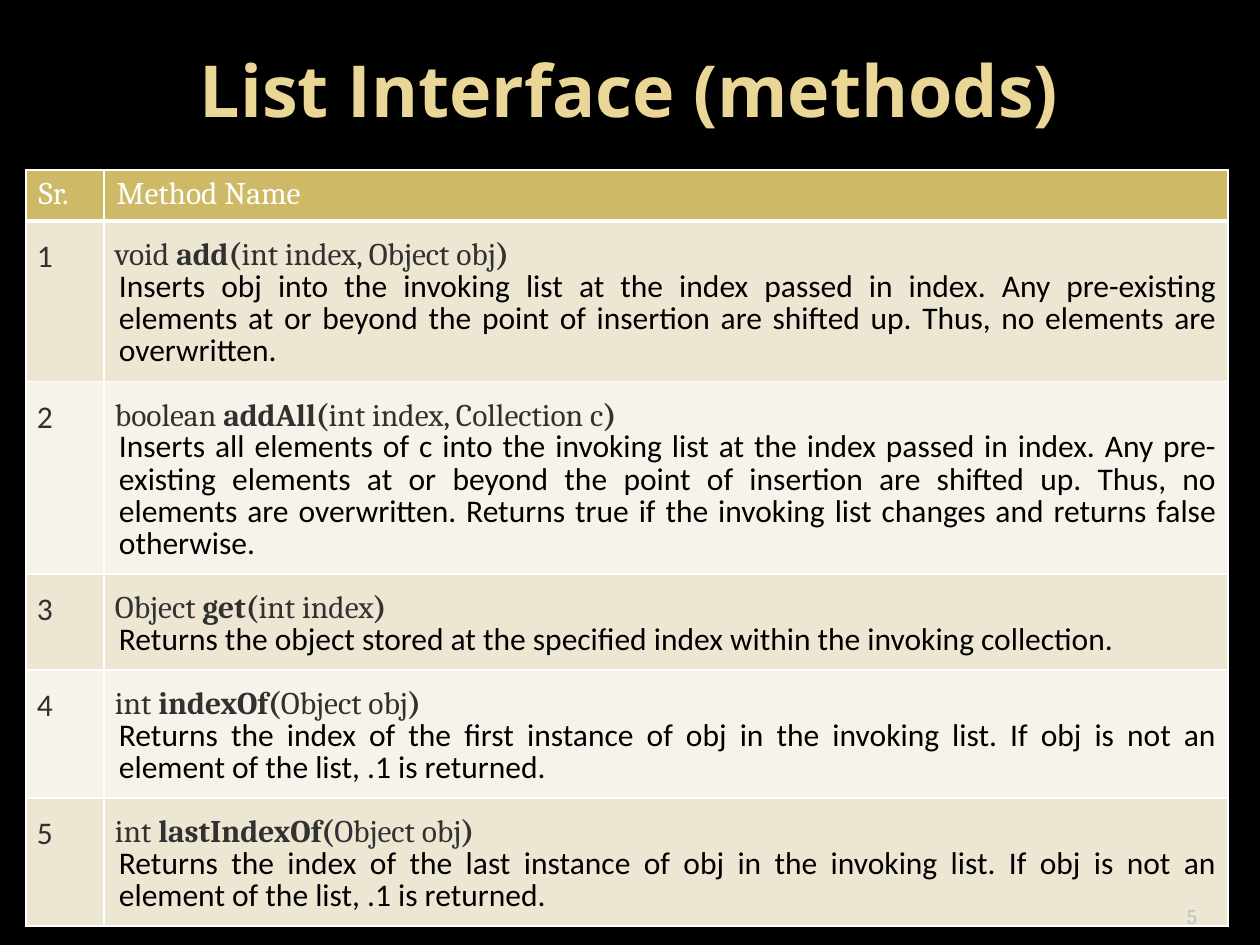
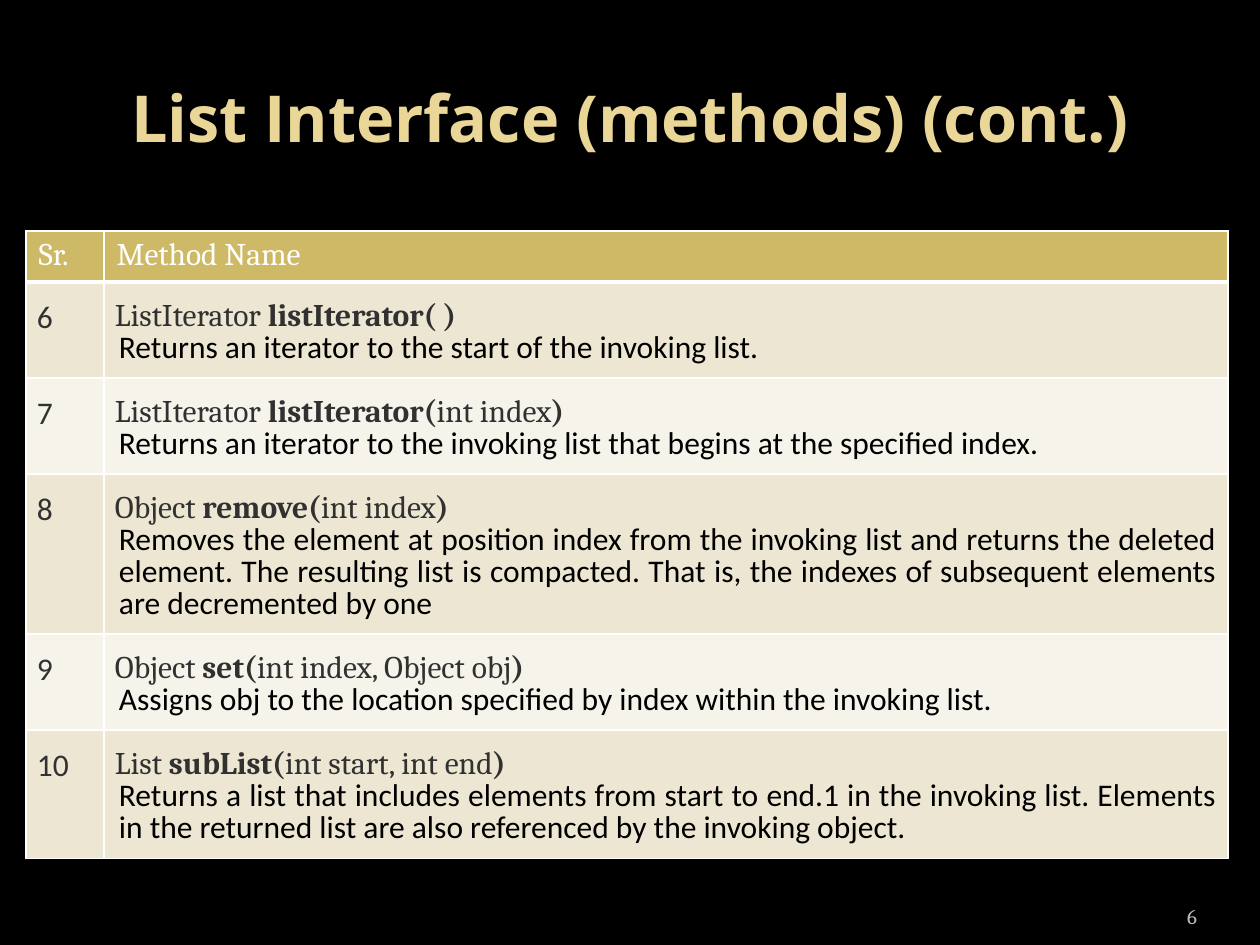
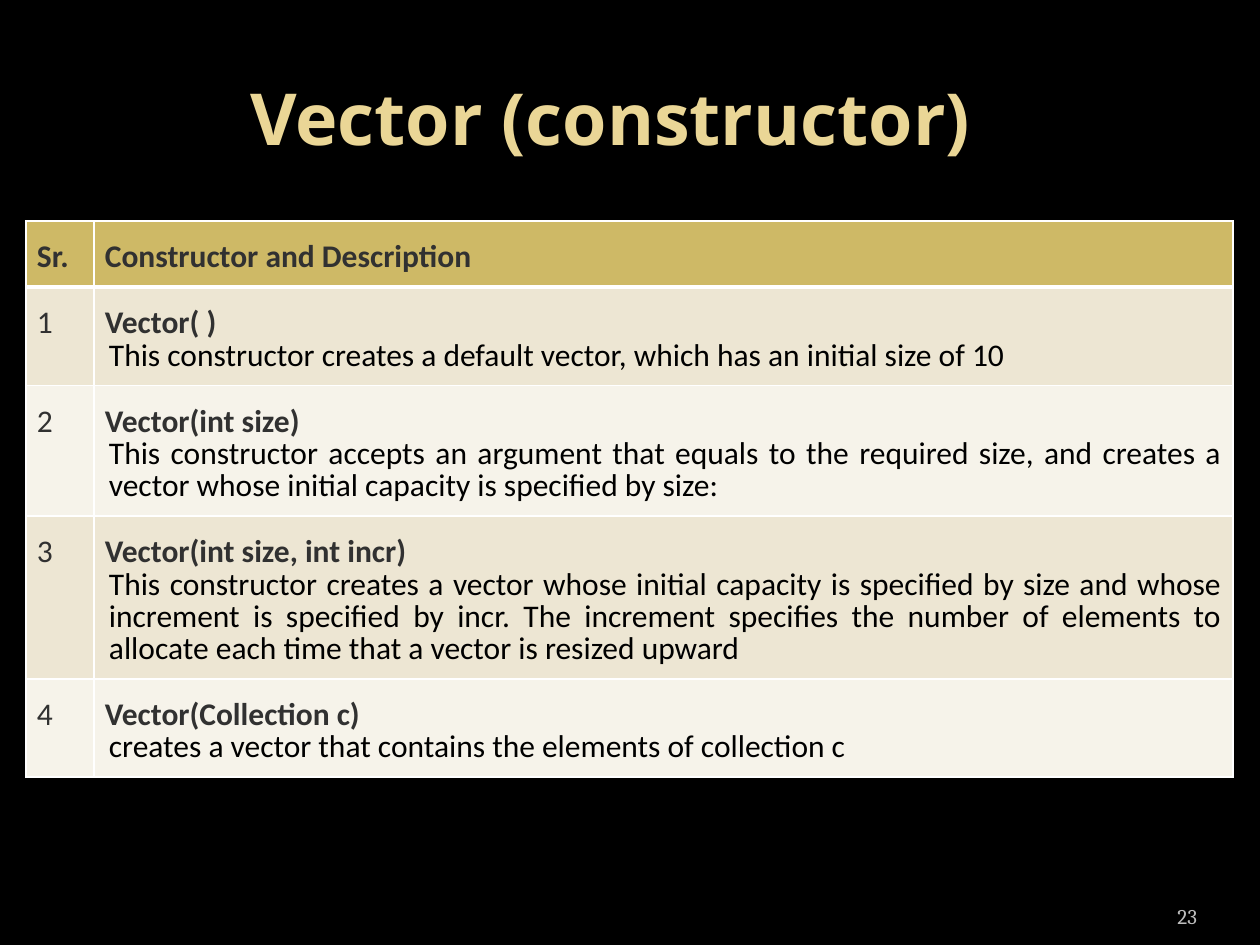
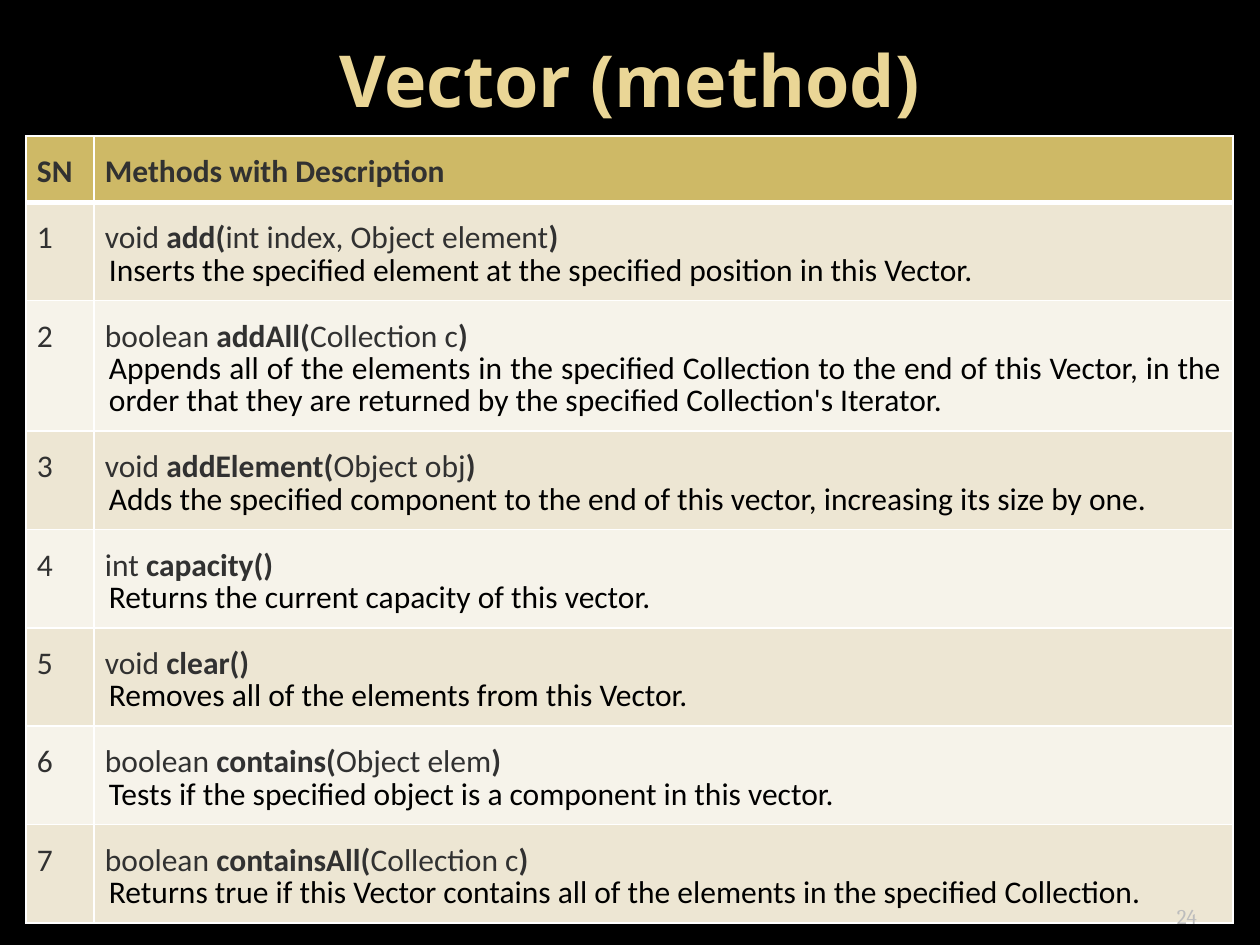
import dataclasses

import pptx
import pptx.dml.color
import pptx.enum.text
import pptx.oxml
import pptx.oxml.ns
import pptx.util


@dataclasses.dataclass(frozen=True)
class Theme:
    background: str = "000000"
    title_gold: str = "EAD696"
    title_gold_end: str = "E7D081"
    header_fill: str = "CEB966"
    band_fills: tuple = ("EDE6D3", "F6F3EA")
    border: str = "FFFFFF"
    header_light: str = "FFFFFF"
    signature: str = "313131"
    description: str = "000000"
    page_number: str = "BDBDBD"
    title_font: str = "Open Sans"
    serif: str = "Cambria"
    sans: str = "Calibri"
    table_size: int = 18
    page_number_size: int = 12
    signature_spacing: float = 1.15
    description_spacing: float = 18.4
    border_width: int = 1
    header_border_width: int = 3


theme = Theme()
rgb = pptx.dml.color.RGBColor.from_string
align = pptx.enum.text.PP_ALIGN
anchor = pptx.enum.text.MSO_ANCHOR


def px(length):
    return pptx.util.Emu(round(length * 914400 / 126))


def write(paragraph, marked, font, size, color):
    for position, words in enumerate(marked.split("*")):
        if words:
            run = paragraph.add_run()
            run.text = words
            run.font.name = font
            run.font.size = pptx.util.Pt(size)
            run.font.bold = position % 2 == 1
            run.font.color.rgb = rgb(color)


list_look = dict(columns=(78, 1124), font=theme.serif, header_color=theme.header_light, roomy_header=False)
vector_look = dict(columns=(68, 1139), font=theme.sans, header_color=theme.signature, roomy_header=True)

lessons = [
    dict(
        list_look,
        title="List Interface (methods)", title_size=41, title_top=10, title_right_inset=13,
        table_top=170, table_height=753, page=5, header=("Sr.", "Method Name"), first=1,
        entries=[
            ("void* add(*int index, Object obj*)*",
             "Inserts obj into the invoking list at the index passed in index. Any pre-existing elements at or "
             "beyond the point of insertion are shifted up. Thus, no elements are overwritten."),
            ("boolean *addAll(*int index, Collection c*)*",
             "Inserts all elements of c into the invoking list at the index passed in index. Any pre-existing "
             "elements at or beyond the point of insertion are shifted up. Thus, no elements are overwritten. "
             "Returns true if the invoking list changes and returns false otherwise."),
            ("Object* get(*int index*)*",
             "Returns the object stored at the specified index within the invoking collection."),
            ("int* indexOf(*Object obj*)*",
             "Returns the index of the first instance of obj in the invoking list. If obj is not an element "
             "of the list, .1 is returned."),
            ("int *lastIndexOf(*Object obj*)*",
             "Returns the index of the last instance of obj in the invoking list. If obj is not an element "
             "of the list, .1 is returned."),
        ],
    ),
    dict(
        list_look,
        title="List Interface (methods) (cont.)", title_size=37, title_top=38, title_right_inset=13,
        table_top=231, table_height=627, page=6, header=("Sr.", "Method Name"), first=6,
        entries=[
            ("ListIterator *listIterator( )*",
             "Returns an iterator to the start of the invoking list."),
            ("ListIterator *listIterator(*int index*)*",
             "Returns an iterator to the invoking list that begins at the specified index."),
            ("Object* remove(*int index*)*",
             "Removes the element at position index from the invoking list and returns the deleted element. "
             "The resulting list is compacted. That is, the indexes of subsequent elements are decremented "
             "by one"),
            ("Object* set(*int index, Object obj*)*",
             "Assigns obj to the location specified by index within the invoking list."),
            ("List *subList(*int start, int end*)*",
             "Returns a list that includes elements from start to end.1 in the invoking list. Elements in the "
             "returned list are also referenced by the invoking object."),
        ],
    ),
    dict(
        vector_look,
        title="Vector (constructor)", title_size=41, title_top=38, title_right_inset=51,
        table_top=221, table_height=546, page=23, header=("*Sr.*", "*Constructor and Description*"), first=1,
        entries=[
            ("*Vector( )*",
             "This constructor creates a default vector, which has an initial size of 10"),
            ("*Vector(int size)*",
             "This constructor accepts an argument that equals to the required size, and creates a vector "
             "whose initial capacity is specified by size:"),
            ("*Vector(int size, int incr)*",
             "This constructor creates a vector whose initial capacity is specified by size and whose "
             "increment is specified by incr. The increment specifies the number of elements to allocate "
             "each time that a vector is resized upward"),
            ("*Vector(Collection c)*",
             "creates a vector that contains the elements of collection c"),
        ],
    ),
    dict(
        vector_look,
        title="Vector (method)", title_size=41, title_top=0, title_right_inset=13,
        table_top=136, table_height=772, page=24, header=("*SN*", "*Methods with Description*"), first=1,
        entries=[
            ("void* add(*int index, Object element*)*",
             "Inserts the specified element at the specified position in this Vector."),
            ("boolean *addAll(*Collection c*)*",
             "Appends all of the elements in the specified Collection to the end of this Vector, in the order "
             "that they are returned by the specified Collection's Iterator."),
            ("void *addElement(*Object obj*)*",
             "Adds the specified component to the end of this vector, increasing its size by one."),
            ("int* capacity()*",
             "Returns the current capacity of this vector."),
            ("void* clear()*",
             "Removes all of the elements from this Vector."),
            ("boolean* contains(*Object elem*)*",
             "Tests if the specified object is a component in this vector."),
            ("boolean *containsAll(*Collection c*)*",
             "Returns true if this Vector contains all of the elements in the specified Collection."),
        ],
    ),
]

deck = pptx.Presentation()
deck.slide_width, deck.slide_height = px(1260), px(945)
master_fill = deck.slide_master.background.fill
master_fill.solid()
master_fill.fore_color.rgb = rgb(theme.background)

for lesson in lessons:
    slide = deck.slides.add_slide(deck.slide_layouts[5])

    heading = slide.shapes.title
    heading.left, heading.top, heading.width, heading.height = px(63), px(lesson["title_top"]), px(1134), px(158)
    heading.text_frame.text = lesson["title"]
    heading.text_frame.word_wrap = True
    heading.text_frame.auto_size = pptx.enum.text.MSO_AUTO_SIZE.NONE
    heading.text_frame.vertical_anchor = anchor.MIDDLE
    heading.text_frame.margin_right = px(lesson["title_right_inset"])
    heading_line = heading.text_frame.paragraphs[0]
    heading_line.alignment = align.CENTER
    heading_font = heading_line.runs[0].font
    heading_font.name = theme.title_font
    heading_font.size = pptx.util.Pt(lesson["title_size"])
    heading_font.bold = True
    heading_font.fill.gradient()
    heading_font.fill.gradient_angle = 280
    gold, gold_end = heading_font.fill.gradient_stops
    gold.position, gold.color.rgb = 0.73, rgb(theme.title_gold)
    gold_end.position, gold_end.color.rgb = 1, rgb(theme.title_gold_end)

    row_count = len(lesson["entries"]) + 1
    reference_frame = slide.shapes.add_table(
        row_count, 2, px(26), px(lesson["table_top"]), px(sum(lesson["columns"])), px(51 * row_count))
    reference = reference_frame.table
    for column, width in zip(reference.columns, lesson["columns"]):
        column.width = px(width)
    for row in reference.rows:
        row.height = px(51)
    reference_frame.height = px(lesson["table_height"])

    for row_index, row in enumerate(reference.rows):
        is_header = row_index == 0
        for cell in row.cells:
            cell_properties = cell._tc.get_or_add_tcPr()
            for edge in ("lnL", "lnR", "lnT", "lnB"):
                thick = is_header and edge == "lnB"
                width = pptx.util.Pt(theme.header_border_width if thick else theme.border_width)
                cell_properties.append(pptx.oxml.parse_xml(
                    f'<a:{edge} {pptx.oxml.ns.nsdecls("a")} w="{width}"><a:solidFill>'
                    f'<a:srgbClr val="{theme.border}"/></a:solidFill></a:{edge}>'))
            cell.fill.solid()
            cell.fill.fore_color.rgb = rgb(theme.header_fill if is_header else theme.band_fills[(row_index - 1) % 2])
            if lesson["roomy_header"] or not is_header:
                cell.margin_left = cell.margin_top = cell.margin_right = cell.margin_bottom = px(11)
                cell.text_frame.paragraphs[0].line_spacing = theme.signature_spacing

    for cell, label in zip(reference.rows[0].cells, lesson["header"]):
        write(cell.text_frame.paragraphs[0], label, lesson["font"], theme.table_size, lesson["header_color"])

    for entry_index, (signature, description) in enumerate(lesson["entries"]):
        serial_cell, method_cell = reference.rows[entry_index + 1].cells
        write(serial_cell.text_frame.paragraphs[0], str(lesson["first"] + entry_index),
              theme.sans, theme.table_size, theme.signature)
        write(method_cell.text_frame.paragraphs[0], signature, lesson["font"], theme.table_size, theme.signature)
        explanation = method_cell.text_frame.add_paragraph()
        explanation.alignment = align.JUSTIFY
        explanation.line_spacing = pptx.util.Pt(theme.description_spacing)
        explanation._p.get_or_add_pPr().set("marL", str(px(4)))
        write(explanation, description, theme.sans, theme.table_size, theme.description)

    page_number = slide.shapes.add_textbox(px(1092), px(885), px(105), px(50)).text_frame
    page_number.word_wrap = True
    page_number.vertical_anchor = anchor.BOTTOM
    page_number.margin_left = page_number.margin_right = 0
    page_number.paragraphs[0].alignment = align.RIGHT
    write(page_number.paragraphs[0], str(lesson["page"]), theme.serif, theme.page_number_size, theme.page_number)

deck.save("out.pptx")
